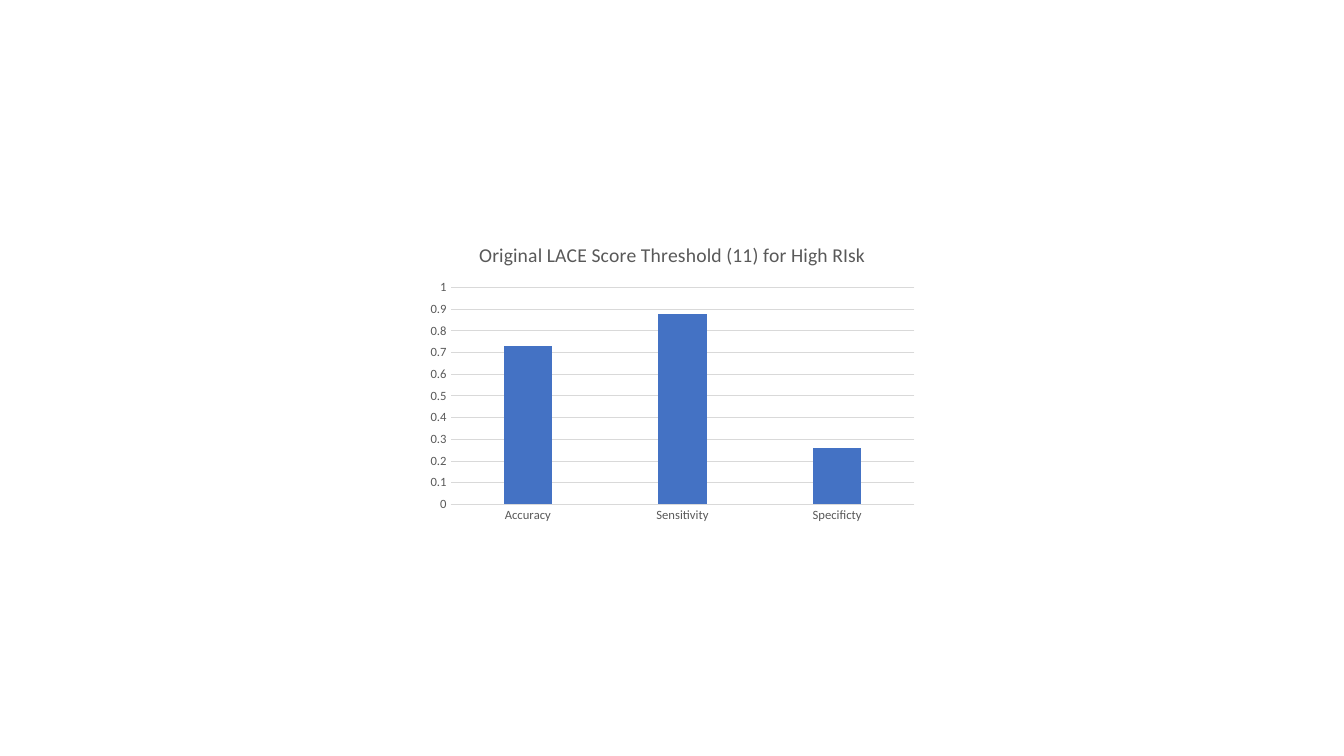
from pptx import Presentation
from pptx.chart.data import CategoryChartData
from pptx.dml.color import RGBColor
from pptx.enum.chart import XL_CHART_TYPE, XL_TICK_MARK
from pptx.util import Inches, Pt

TITLE = "Original LACE Score Threshold (11) for High RIsk"
SCORES = {"Accuracy": 0.73, "Sensitivity": 0.88, "Specificty": 0.26}
BLUE, GREY, PALE = "4472C4", "595959", "D9D9D9"
BOX = (4.17, 2.25, 5, 3)


def color(code):
    return RGBColor.from_string(code)


def style(font, size):
    values = {"name": "Calibri", "size": Pt(size), "bold": False}
    for key, value in values.items():
        setattr(font, key, value)
    font.color.rgb = color(GREY)


def rule(line):
    line.color.rgb = color(PALE)
    line.width = Pt(0.75)


deck = Presentation()
deck.slide_width, deck.slide_height = Inches(13.33), Inches(7.5)
slide = deck.slides.add_slide(deck.slide_layouts[6])

data = CategoryChartData()
data.categories = list(SCORES)
data.add_series("Series 1", list(SCORES.values()))
chart = slide.shapes.add_chart(
    XL_CHART_TYPE.COLUMN_CLUSTERED, *map(Inches, BOX), data).chart
style(chart.font, 10)
chart.has_legend = False
chart.has_title = True
frame = chart.chart_title.text_frame
frame.text = TITLE
style(frame.paragraphs[0].runs[0].font, 14)
chart.chart_title.include_in_layout = False

plot = chart.plots[0]
for key, value in {"gap_width": 219, "overlap": -27,
                   "vary_by_categories": False}.items():
    setattr(plot, key, value)
fill = plot.series[0].format.fill
fill.solid()
fill.fore_color.rgb = color(BLUE)

for axis in (chart.category_axis, chart.value_axis):
    axis.major_tick_mark = axis.minor_tick_mark = XL_TICK_MARK.NONE
    style(axis.tick_labels.font, 9)
rule(chart.category_axis.format.line)

scale = chart.value_axis
scale.minimum_scale, scale.maximum_scale, scale.major_unit = 0, 1, 0.1
scale.tick_labels.number_format = "General"
scale.tick_labels.number_format_is_linked = False
scale.format.line.fill.background()
rule(scale.major_gridlines.format.line)

deck.save("out.pptx")
